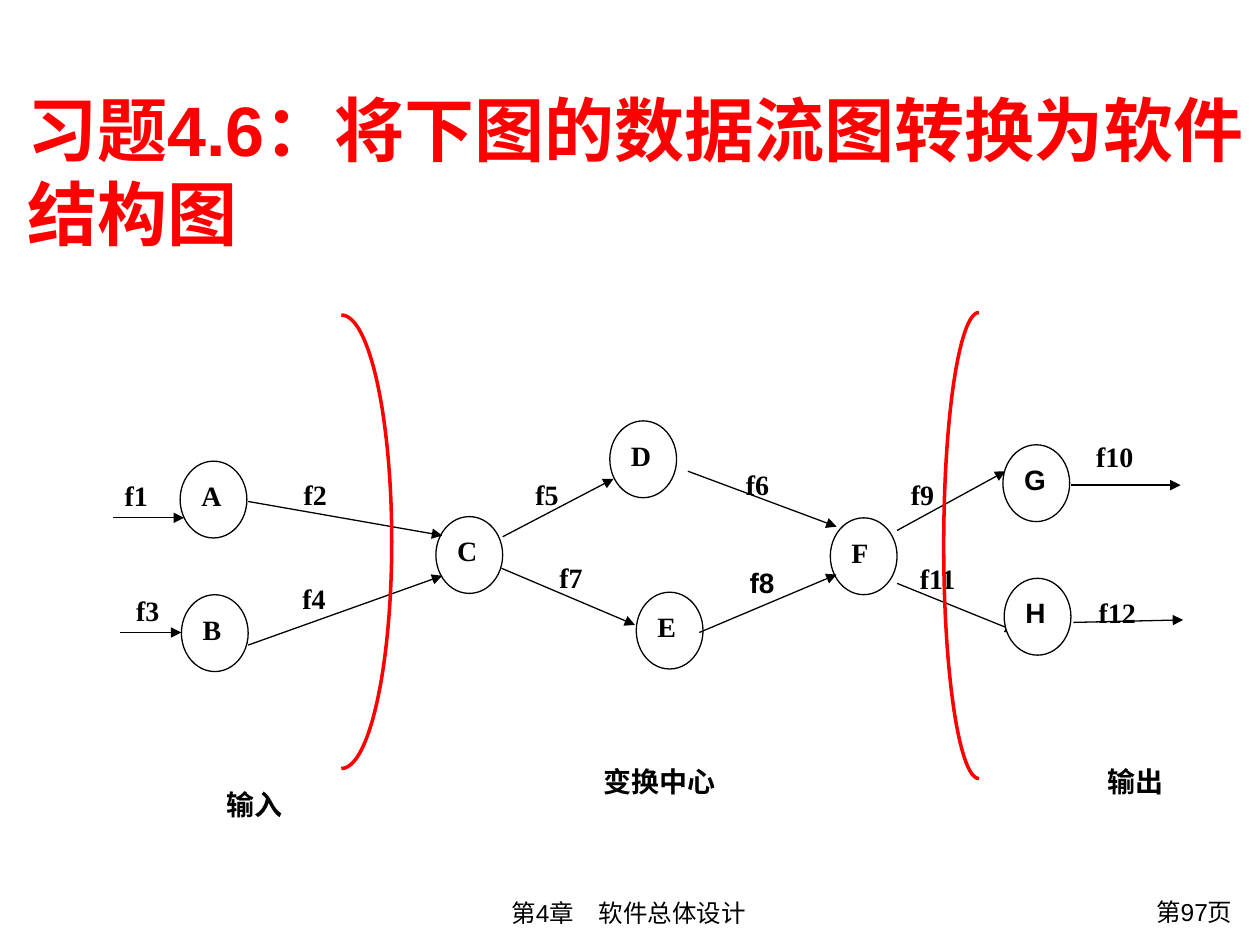
from lxml.etree import SubElement
from pptx import Presentation
from pptx.dml.color import RGBColor
from pptx.enum.shapes import MSO_CONNECTOR, MSO_SHAPE
from pptx.enum.text import MSO_ANCHOR, MSO_AUTO_SIZE, PP_ALIGN
from pptx.oxml.ns import qn
from pptx.util import Pt

SCALE = 9144
BLACK, WHITE, RED = "000000", "FFFFFF", "FF0000"
SERIF, SANS = "Times New Roman", "Arial"
NODE_W, NODE_H = 53, 61
SANS_TEXTS = {"f8", "G", "H"}
LABEL_HEIGHTS = {"f5": 38, "f9": 75, "f11": 75}

LABELS = {
    "f1": (0, 45), "f2": (142, 44), "f3": (9, 136), "f4": (141, 127),
    "f5": (326, 44), "f6": (493, 36), "f7": (345, 110), "f8": (496, 114),
    "f9": (624, 44), "f10": (771, 14), "f11": (631, 111), "f12": (773, 138),
}
INNER_NODES = {
    "A": (53, 36), "B": (54, 142), "C": (256, 80),
    "D": (394, 4), "E": (415, 140), "F": (569, 81),
}
OUTPUT_NODES = {"G": (706, 23), "H": (707, 129)}
FLOWS = [
    (0, 81, 56, 81), (107, 68, 261, 95), (5, 172, 54, 172),
    (107, 182, 261, 127), (309, 96, 397, 50), (456, 44, 574, 88),
    (308, 121, 414, 166), (465, 172, 574, 126), (622, 91, 708, 44),
    (760, 55, 847, 55), (622, 133, 716, 171), (762, 164, 849, 162),
]


def px(*values):
    """Turn px lengths into EMU."""
    return [v * SCALE for v in values]


def color(value):
    """Turn a hex string into a colour."""
    return RGBColor.from_string(value)


def write(tf, text, size, font, hex_color=BLACK, bold=True, align=PP_ALIGN.LEFT):
    """Write one run into the first paragraph of a text frame."""
    tf.word_wrap = True
    p = tf.paragraphs[0]
    p.alignment = align
    r = p.add_run()
    r.text = text
    r.font.size, r.font.name, r.font.bold = Pt(size), font, bold
    r.font.color.rgb = color(hex_color)


def add_block(s, kind, box, text, align=PP_ALIGN.JUSTIFY):
    """Add a white shape with bold text, outlined when it is an ellipse."""
    sp = s.shapes.add_shape(kind, *px(*box))
    sp.shadow.inherit = False
    sp.fill.solid()
    sp.fill.fore_color.rgb = color(WHITE)
    if kind == MSO_SHAPE.OVAL:
        sp.line.color.rgb = color(BLACK)
        sp.line.width = Pt(0.75)
    else:
        sp.line.fill.background()
    tf = sp.text_frame
    tf.vertical_anchor = MSO_ANCHOR.TOP
    tf.margin_left, tf.margin_top, tf.margin_right, tf.margin_bottom = px(9, 5, 9, 5)
    write(tf, text, 16, SANS if text in SANS_TEXTS else SERIF, align=align)


def add_arrow(s, x1, y1, x2, y2):
    """Add a thin black line with an arrowhead at its end."""
    cx = s.shapes.add_connector(MSO_CONNECTOR.STRAIGHT, *px(x1, y1, x2, y2))
    cx.line.color.rgb = color(BLACK)
    cx.line.width = Pt(0.75)
    SubElement(cx.line._get_or_add_ln(), qn("a:tailEnd"), type="triangle")
    SubElement(cx._element.spPr, qn("a:effectLst"))


def add_nodes(s, x, y, nodes):
    """Add the process circles relative to a corner."""
    for name, (dx, dy) in nodes.items():
        add_block(s, MSO_SHAPE.OVAL, (x + dx, y + dy, NODE_W, NODE_H), name)


def add_title(s, box):
    """Place and format the title."""
    title = s.shapes.title
    title.left, title.top, title.width, title.height = px(*box)
    tf = title.text_frame
    tf.auto_size = MSO_AUTO_SIZE.NONE
    tf.vertical_anchor = MSO_ANCHOR.MIDDLE
    write(tf, "习题4.6：将下图的数据流图转换为软件结构图", 40, SANS, RED)


def add_flow_diagram(s, x, y):
    """Draw the data flow diagram from its top left corner."""
    for name, (dx, dy) in LABELS.items():
        box = (x + dx, y + dy, 53, LABEL_HEIGHTS.get(name, 46))
        add_block(s, MSO_SHAPE.RECTANGLE, box, name)
    add_nodes(s, x, y, INNER_NODES)
    for x1, y1, x2, y2 in FLOWS:
        add_arrow(s, x + x1, y + y1, x + x2, y + y2)
    add_nodes(s, x, y, OUTPUT_NODES)


def add_boundary(s, box, start, end):
    """Draw a red half ellipse between two angles in degrees."""
    sp = s.shapes.add_shape(MSO_SHAPE.ARC, *px(*box))
    sp.shadow.inherit = False
    sp.adjustments[0], sp.adjustments[1] = start * 0.6, end * 0.6
    sp.fill.background()
    sp.line.color.rgb = color(RED)
    sp.line.width = Pt(2)


def add_captions(s, x, y):
    """Name the three zones below the diagram."""
    zones = [("输入", 0, 18, 100), ("变换中心", 301, 0, 141), ("输出", 679, 0, 141)]
    for text, dx, dy, w in zones:
        add_block(s, MSO_SHAPE.RECTANGLE, (x + dx, y + dy, w, 46), text, PP_ALIGN.CENTER)


def add_footer(s, box, text, align):
    """Add one line of footer text."""
    tf = s.shapes.add_textbox(*px(*box)).text_frame
    write(tf, text, 14, SANS, bold=False, align=align)


def main():
    """Build the slide and save it."""
    prs = Presentation()
    prs.slide_width, prs.slide_height = px(1000, 750)
    s = prs.slides.add_slide(prs.slide_layouts[5])
    add_title(s, (12, 99, 988, 72))
    add_captions(s, 152, 602)
    add_flow_diagram(s, 90, 330)
    add_boundary(s, (231, 250, 80, 360), 270, 90)
    add_boundary(s, (749, 248, 56, 370), 90, 270)
    add_footer(s, (235, 708, 528, 34), "第4章　软件总体设计", PP_ALIGN.CENTER)
    add_footer(s, (854, 707, 134, 37), "第97页", PP_ALIGN.RIGHT)
    prs.save("out.pptx")


if __name__ == "__main__":
    main()
